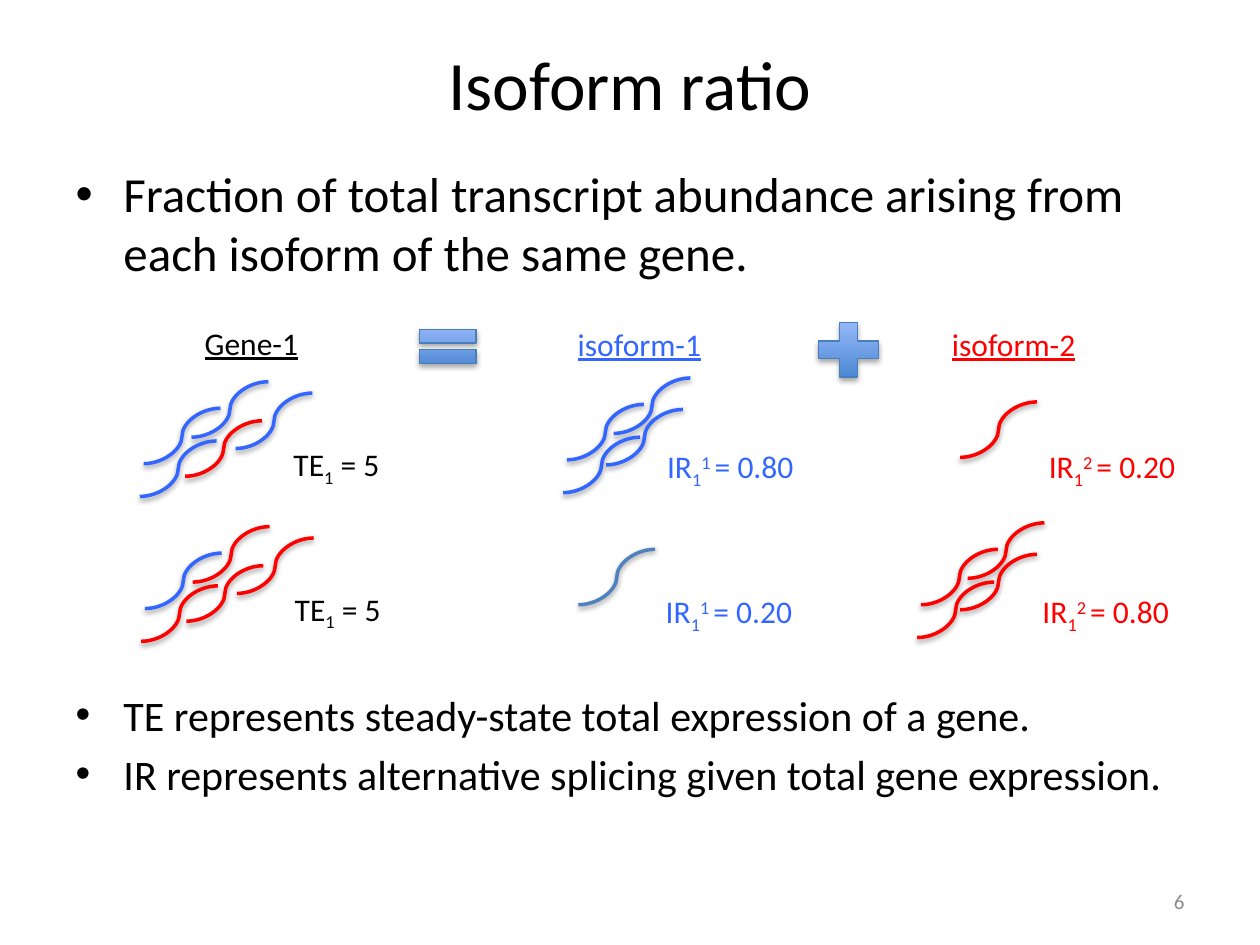
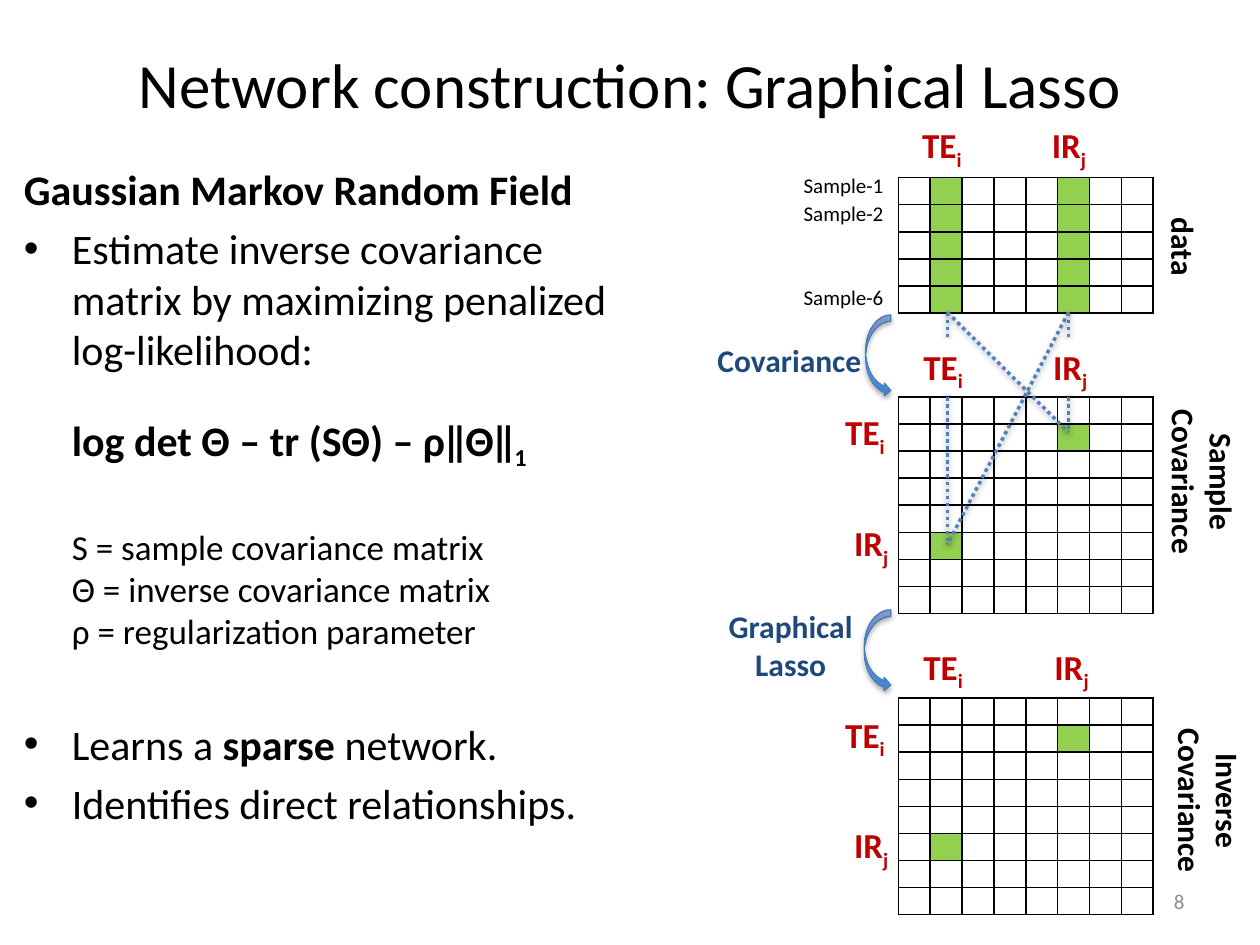
from dataclasses import dataclass

from lxml import etree
from pptx import Presentation
from pptx.dml.color import RGBColor
from pptx.enum.dml import MSO_LINE
from pptx.enum.shapes import MSO_CONNECTOR, MSO_SHAPE
from pptx.enum.text import MSO_ANCHOR, MSO_AUTO_SIZE, PP_ALIGN
from pptx.oxml.ns import qn
from pptx.util import Inches, Pt

LEFT, CENTER, RIGHT = PP_ALIGN.LEFT, PP_ALIGN.CENTER, PP_ALIGN.RIGHT
MIDDLE, TOP = MSO_ANCHOR.MIDDLE, MSO_ANCHOR.TOP
NO_FIT = MSO_AUTO_SIZE.NONE
CURVE, STRAIGHT = MSO_CONNECTOR.CURVE, MSO_CONNECTOR.STRAIGHT
EQUALS, PLUS = MSO_SHAPE.MATH_EQUAL, MSO_SHAPE.MATH_PLUS
CURVED_ARROW = MSO_SHAPE.CURVED_RIGHT_ARROW
DOTTED = MSO_LINE.ROUND_DOT


@dataclass(frozen=True)
class Theme:
    font: str = "Calibri"
    black: str = "000000"
    white: str = "FFFFFF"
    grey: str = "8C8C8C"
    faint: str = "D9D9D9"
    blue: str = "3366FF"
    steel: str = "4F81BD"
    navy: str = "1F497D"
    red: str = "FF0000"
    crimson: str = "C00000"
    green: str = "92D050"
    lead: float = 28
    body: float = 24
    small: float = 20
    label: float = 18
    note: float = 12
    cell: float = 6


theme = Theme()


def write(para, pieces, size, color=theme.black, bold=False, underline=False):
    """Fill a paragraph from a string or from (text, baseline percent) pairs."""
    if isinstance(pieces, str):
        para.text = pieces
    else:
        for text, baseline in pieces:
            run = para.add_run()
            run.text = text
            if baseline:
                run.font._element.set("baseline", str(baseline * 1000))
    for run in para.runs:
        run.font.name = theme.font
        run.font.size = Pt(size)
        run.font.color.rgb = RGBColor.from_string(color)
        run.font.bold = bold
        run.font.underline = underline


def add_label(page, place, lines, size=theme.label, color=theme.black,
              bold=False, underline=False, align=CENTER):
    box = page.shapes.add_textbox(*map(Inches, place))
    frame = box.text_frame
    frame.word_wrap = False
    for index, pieces in enumerate(lines):
        para = frame.add_paragraph() if index else frame.paragraphs[0]
        para.alignment = align
        write(para, pieces, size, color, bold, underline)
    return box


deck = Presentation()
deck.slide_width, deck.slide_height = Inches(10), Inches(7.5)

# Shared frame: title, body place and page number
pages = []
for title, title_size, number, body_place in [
    ("Isoform ratio", 39.6, "6", (0.5, 1.25, 9, 5.45)),
    ("Network construction: Graphical Lasso", 36, "8", (0.09, 1.25, 5.95, 5.45)),
]:
    page = deck.slides.add_slide(deck.slide_layouts[1])
    pages.append(page)
    for holder, place, anchor in [
        (page.shapes.title, (0.5, 0.3, 9, 0.72), MIDDLE),
        (page.placeholders[1], body_place, TOP),
    ]:
        holder.left, holder.top, holder.width, holder.height = map(Inches, place)
        holder.text_frame.auto_size = NO_FIT
        holder.text_frame.vertical_anchor = anchor
    write(page.shapes.title.text_frame.paragraphs[0], title, title_size)
    number_box = add_label(page, (7.17, 6.95, 2.33, 0.4), [number],
                           theme.note, theme.grey, align=RIGHT)
    number_box.text_frame.word_wrap = True
    number_box.text_frame.vertical_anchor = MIDDLE
ratio_page, lasso_page = pages

# Body text: pieces, size, bold, bullet, indent, space before in points
ratio_body = [
    ("Fraction of total transcript abundance arising from each isoform "
     "of the same gene.", theme.lead, False, True, 0.38, 5.6),
    ("TE represents steady-state total expression of a gene.",
     theme.body, False, True, 0.38, 233),
    ("IR represents alternative splicing given total gene expression.",
     theme.body, False, True, 0.38, 4.8),
]
lasso_body = [
    ("Gaussian Markov Random Field", theme.body, True, False, 0, 4.8),
    ("Estimate inverse covariance\vmatrix by maximizing penalized \v"
     "log-likelihood:", theme.body, False, True, 0.38, 4.8),
    ([("log det Θ – tr (SΘ) – ρǁΘǁ", 0), ("1", -25)],
     theme.body, True, False, 0.38, 23),
    ("S = sample covariance matrix\vΘ = inverse covariance matrix\v"
     "ρ = regularization parameter", theme.small, False, False, 0.38, 31),
    ([("Learns a ", 0), ("sparse", 0), (" network.", 0)],
     theme.body, False, True, 0.38, 38),
    ("Identifies direct relationships.", theme.body, False, True, 0.38, 4.8),
]
for page, body in [(ratio_page, ratio_body), (lasso_page, lasso_body)]:
    frame = page.placeholders[1].text_frame
    for index, (pieces, size, bold, bullet, indent, gap) in enumerate(body):
        para = frame.add_paragraph() if index else frame.paragraphs[0]
        write(para, pieces, size, bold=bold)
        para.space_before = Pt(gap)
        properties = para._p.get_or_add_pPr()
        properties.set("marL", str(Inches(indent)))
        properties.set("indent", str(-Inches(indent) if bullet else 0))
        if not bullet:
            etree.SubElement(properties, qn("a:buNone"))
lasso_page.placeholders[1].text_frame.paragraphs[4].runs[1].font.bold = True

# Transcript clusters: each strand is offset from the cluster's corner
gene_strands = [(0, 0), (0.38, -0.21), (-0.03, 0.26), (0.73, -0.12), (0.33, 0.1)]
isoform_strands = [(0, 0), (0.37, -0.21), (-0.03, 0.26), (0.31, 0.04)]
single_strand = [(0, 0)]
strand_width, strand_height = 0.61, 0.44
blue, red = theme.blue, theme.red
for left, top, strands, colors in [
    (1.14, 3.24, gene_strands, [blue] * 4 + [red]),
    (4.5, 3.21, isoform_strands, [blue] * 4),
    (7.62, 3.19, single_strand, [red]),
    (1.15, 4.39, gene_strands, [blue] + [red] * 4),
    (4.59, 4.36, single_strand, [theme.steel]),
    (7.31, 4.36, isoform_strands, [red] * 4),
]:
    for (shift_x, shift_y), color in zip(strands, colors):
        x, y = left + shift_x, top + shift_y
        strand = ratio_page.shapes.add_connector(
            CURVE, Inches(x + strand_width), Inches(y),
            Inches(x), Inches(y + strand_height))
        strand.line.color.rgb = RGBColor.from_string(color)
        strand.line.width = Pt(2)

# Column headings and ratios
for place, text, color in [
    ((1.52, 2.52, 0.95, 0.4), "Gene-1", theme.black),
    ((4.48, 2.53, 1.19, 0.4), "isoform-1", blue),
    ((7.44, 2.53, 1.21, 0.4), "isoform-2", red),
]:
    add_label(ratio_page, place, [text], color=color, underline=True)
for left, top in [(2.22, 3.48), (2.23, 4.63)]:
    add_label(ratio_page, (left, top, 0.9, 0.4), [[("TE", 0), ("1", -25), (" = 5", 0)]])
for left, top, isoform, value, color in [
    (5.17, 3.5, "1", "0.80", blue),
    (8.2, 3.5, "2", "0.20", red),
    (5.16, 4.65, "1", "0.20", blue),
    (8.15, 4.65, "2", "0.80", red),
]:
    ratio = [("IR", 0), ("1", -25), (isoform + " ", 30), ("= " + value, 0)]
    add_label(ratio_page, (left, top, 1.25, 0.4), [ratio], color=color)

# Operators and curved arrows keep the theme's gradient, outline and shadow
for page, kind, place in [
    (ratio_page, EQUALS, (3.25, 2.52, 0.61, 0.46)),
    (ratio_page, PLUS, (6.41, 2.48, 0.65, 0.59)),
    (lasso_page, CURVED_ARROW, (6.87, 2.5, 0.2, 0.65)),
    (lasso_page, CURVED_ARROW, (6.86, 4.84, 0.21, 0.65)),
]:
    page.shapes.add_shape(kind, *map(Inches, place))

# Matrices with their marked cells
column_count, grid_left, column_width, row_height = 8, 7.13, 0.253, 0.215
te_index, ir_index = 1, 5
pair_cells = {(te_index, ir_index), (ir_index, te_index)}
data_cells = {(row, column) for row in range(5) for column in (te_index, ir_index)}
for top, row_count, marked in [
    (1.41, 5, data_cells), (3.15, 8, pair_cells), (5.54, 8, pair_cells),
]:
    table = lasso_page.shapes.add_table(
        row_count, column_count, Inches(grid_left), Inches(top),
        Inches(column_count * column_width), Inches(row_count * row_height)).table
    table.first_row = table.horz_banding = False
    for column in table.columns:
        column.width = Inches(column_width)
    for row_index, row in enumerate(table.rows):
        row.height = Inches(row_height)
        for column_index, cell in enumerate(row.cells):
            cell.margin_left = cell.margin_right = 0
            cell.margin_top = cell.margin_bottom = 0
            end = cell.text_frame.paragraphs[0]._p.get_or_add_endParaRPr()
            end.set("sz", str(theme.cell * 100))
            properties = cell._tc.get_or_add_tcPr()
            for side in ("a:lnL", "a:lnR", "a:lnT", "a:lnB"):
                border = etree.SubElement(properties, qn(side), w=str(Pt(1)))
                fill = etree.SubElement(border, qn("a:solidFill"))
                etree.SubElement(fill, qn("a:srgbClr"), val=theme.black)
            color = theme.green if (row_index, column_index) in marked else theme.white
            cell.fill.solid()
            cell.fill.fore_color.rgb = RGBColor.from_string(color)
inverse_table = table
write(inverse_table.cell(2, 5).text_frame.paragraphs[0], "`", theme.cell, theme.faint)

# Captions beside the matrices
for place, lines in [
    ((9.06, 1.76, 0.67, 0.4), ["data"]),
    ((8.87, 3.47, 1.35, 0.71), ["Sample", "Covariance"]),
    ((8.92, 6, 1.35, 0.71), ["Inverse", "Covariance"]),
]:
    add_label(lasso_page, place, lines, bold=True).rotation = 90
for place, lines in [
    ((5.59, 2.66, 1.35, 0.4), ["Covariance"]),
    ((5.68, 4.77, 1.19, 0.71), ["Graphical", "Lasso"]),
]:
    add_label(lasso_page, place, lines, color=theme.navy, bold=True)
for top, text in [(1.32, "Sample-1"), (1.54, "Sample-2"), (2.21, "Sample-6")]:
    add_label(lasso_page, (6.28, top, 0.84, 0.3), [text], theme.note, align=LEFT)

# Dotted links run under the variable names, then across between them
te_x, ir_x, data_bottom, te_row_y, ir_row_y = 7.52, 8.48, 2.48, 3.43, 4.32
vertical_links = [(ir_x, ir_x, te_row_y), (te_x, te_x, ir_row_y)]
crossing_links = [(ir_x, te_x, ir_row_y), (te_x, ir_x, te_row_y)]
te_name, ir_name = [("TE", 0), ("i", -25)], [("IR", 0), ("j", -25)]
variable_names = [
    (7.22, 0.93, te_name), (8.25, 0.93, ir_name),
    (7.23, 2.69, te_name), (8.26, 2.69, ir_name),
    (7.23, 5.07, te_name), (8.27, 5.07, ir_name),
    (6.61, 3.21, te_name), (6.68, 4.09, ir_name),
    (6.61, 5.61, te_name), (6.68, 6.49, ir_name),
]
for links, names in [(vertical_links, variable_names), (crossing_links, [])]:
    for start_x, end_x, end_y in links:
        link = lasso_page.shapes.add_connector(
            STRAIGHT, Inches(start_x), Inches(data_bottom), Inches(end_x), Inches(end_y))
        link.line.color.rgb = RGBColor.from_string(theme.steel)
        link.line.width = Pt(2)
        link.line.dash_style = DOTTED
    for left, top, name in names:
        width = 0.52 if name is te_name else 0.48
        box = add_label(lasso_page, (left, top, width, 0.44), [name],
                        theme.small, theme.crimson, bold=True, align=LEFT)
        if top == 2.69:
            box.fill.solid()
            box.fill.fore_color.rgb = RGBColor.from_string(theme.white)

deck.save("out.pptx")
